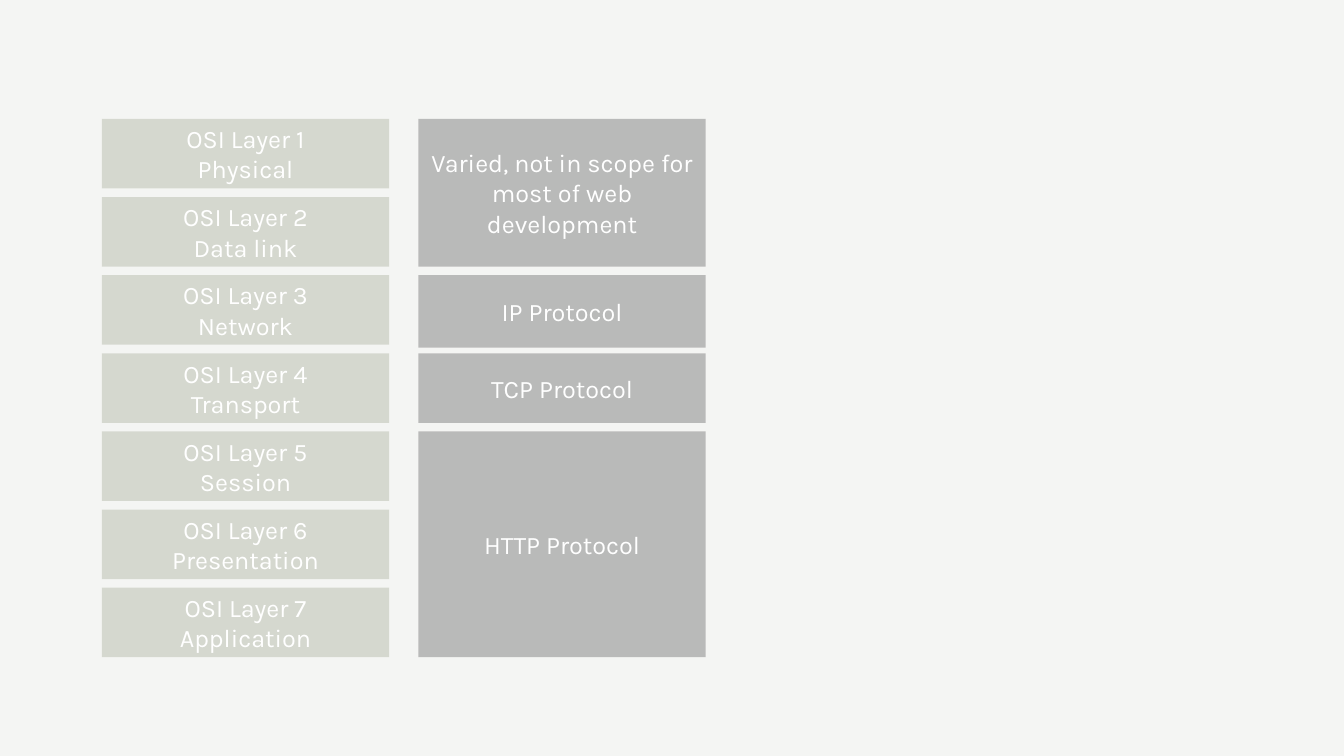
from lxml import etree
from pptx import Presentation
from pptx.dml.color import RGBColor
from pptx.enum.shapes import MSO_SHAPE
from pptx.enum.text import MSO_ANCHOR, PP_ALIGN
from pptx.oxml.ns import qn
from pptx.util import Inches, Pt

RECT = MSO_SHAPE.RECTANGLE
MIDDLE = MSO_ANCHOR.MIDDLE
CENTER = PP_ALIGN.CENTER

PAPER, SAGE, GREY, WHITE = "F4F5F3", "B8BDAD", "808080", "FFFFFF"
LAYERS = ["Physical", "Data link", "Network", "Transport",
          "Session", "Presentation", "Application"]
PROTOCOLS = [
    ("Varied, not in scope for most of web development", 1, 2, 0),
    ("IP Protocol", 3, 1, 0.03),
    ("TCP Protocol", 4, 1, 0),
    ("HTTP Protocol", 5, 3, 0),
]
LAYER_X, PROTO_X, TOP = 1.01, 4.15, 1.18
WIDTH, HEIGHT, GAP = 2.85, 0.69, 0.085
PITCH = HEIGHT + GAP


def paint(fill, color, alpha=100):
    """Fill with a hex colour at an opacity in percent."""
    fill.solid()
    fill.fore_color.rgb = RGBColor.from_string(color)
    if alpha < 100:
        tint = fill.fore_color._xFill.find(qn("a:srgbClr"))
        etree.SubElement(tint, qn("a:alpha"), val=str(alpha * 1000))


def write(frame, text, font="Karla", size=18, color=WHITE, align=CENTER):
    """Write one paragraph for each line of text."""
    frame.word_wrap = True
    frame.vertical_anchor = MIDDLE
    for i, line in enumerate(text.split("\n")):
        para = frame.add_paragraph() if i else frame.paragraphs[0]
        para.alignment = align
        run = para.add_run()
        run.text = line
        run.font.name = font
        run.font.size = Pt(size)
        run.font.color.rgb = RGBColor.from_string(color)


def add_box(slide, text, left, color, first, span=1, extra=0):
    """Add a box that covers a span of layers, counted from one."""
    top = TOP + (first - 1) * PITCH
    height = span * PITCH - GAP + extra
    box = slide.shapes.add_shape(RECT, Inches(left), Inches(top),
                                 Inches(WIDTH), Inches(height))
    box.shadow.inherit = False
    box.line.fill.background()
    paint(box.fill, color, alpha=50)
    write(box.text_frame, text)


def main():
    """Build the slide of layers and protocols."""
    deck = Presentation()
    deck.slide_width, deck.slide_height = Inches(13.33), Inches(7.5)
    slide = deck.slides.add_slide(deck.slide_layouts[6])
    paint(slide.background.fill, PAPER)
    for num, name in enumerate(LAYERS, 1):
        add_box(slide, f"OSI Layer {num}\n{name}", LAYER_X, SAGE, num)
    for text, first, span, extra in PROTOCOLS:
        add_box(slide, text, PROTO_X, GREY, first, span, extra)
    deck.save("out.pptx")


if __name__ == "__main__":
    main()
